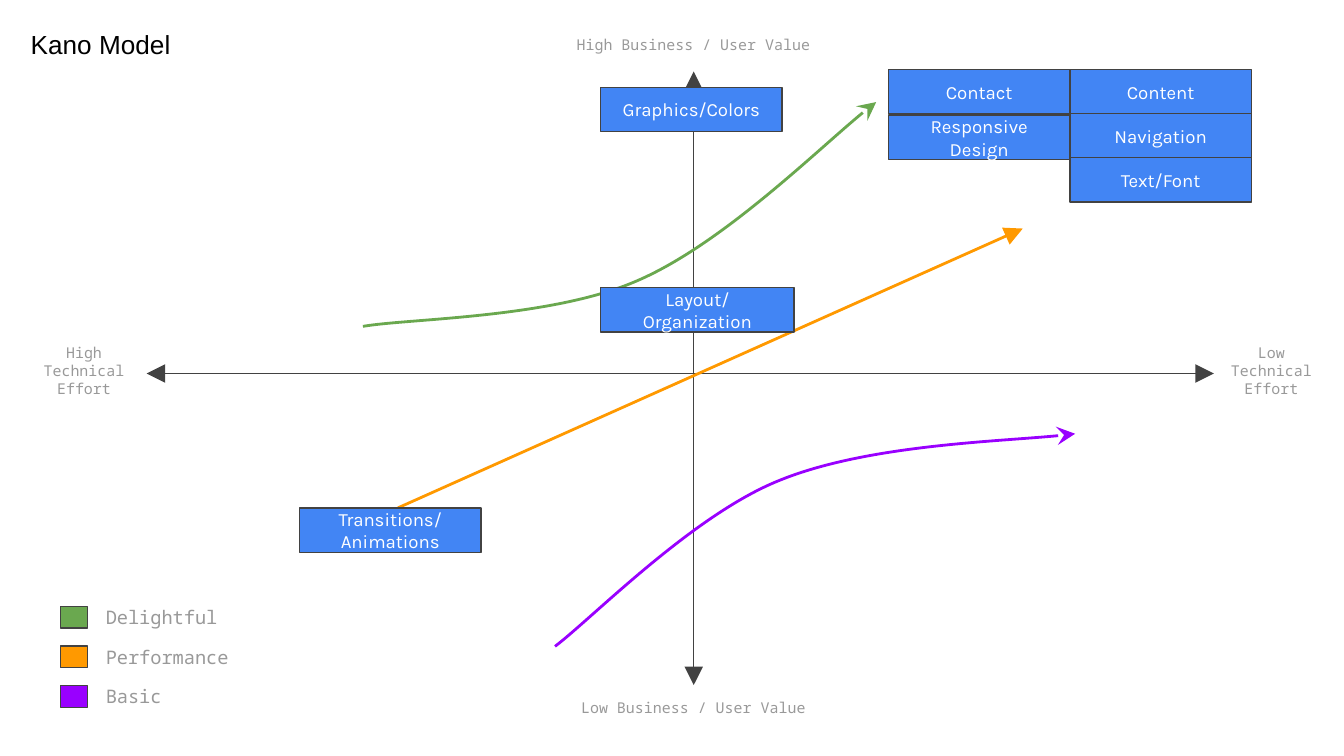
from lxml import etree
from pptx import Presentation
from pptx.dml.color import RGBColor
from pptx.enum.shapes import MSO_CONNECTOR, MSO_SHAPE
from pptx.enum.text import MSO_ANCHOR, MSO_AUTO_SIZE, PP_ALIGN
from pptx.oxml.ns import qn
from pptx.util import Cm, Pt

STRAIGHT = MSO_CONNECTOR.STRAIGHT
RECTANGLE = MSO_SHAPE.RECTANGLE
TOP, MIDDLE = MSO_ANCHOR.TOP, MSO_ANCHOR.MIDDLE
LEFT, CENTER = PP_ALIGN.LEFT, PP_ALIGN.CENTER
NO_AUTOFIT = MSO_AUTO_SIZE.NONE

BLACK = RGBColor(0x00, 0x00, 0x00)
WHITE = RGBColor(0xFF, 0xFF, 0xFF)
DARK = RGBColor(0x42, 0x42, 0x42)
GREY = RGBColor(0x99, 0x99, 0x99)
BLUE = RGBColor(0x42, 0x85, 0xF4)
GREEN = RGBColor(0x6A, 0xA8, 0x4F)
ORANGE = RGBColor(0xFF, 0x99, 0x00)
PURPLE = RGBColor(0x99, 0x00, 0xFF)

MONO = "Noto Sans Mono"
CARD_WIDTH, CARD_HEIGHT = 3.43, 0.84
CARD_STEP = 0.83
LEGEND_STEP = 0.75

# Each curve: a start point, then three points per Bezier segment
DELIGHTFUL_CURVE = [(6.86, 6.17), (7.72, 6.02), (10.41, 6.02), (12.04, 5.31),
                    (13.64, 4.62), (15.8, 2.49), (16.56, 1.93)]
BASIC_CURVE = [(10.49, 12.22), (11.2, 11.68), (13.08, 9.75), (14.71, 9.09),
               (16.36, 8.41), (19.38, 8.33), (20.32, 8.2)]


def write_text(shape, text, size, font, color, align=CENTER, anchor=MIDDLE):
    frame = shape.text_frame
    frame.word_wrap = True
    frame.auto_size = NO_AUTOFIT
    frame.vertical_anchor = anchor
    frame.margin_left = frame.margin_right = Cm(0.25)
    frame.margin_top = frame.margin_bottom = Cm(0.25)
    para = frame.paragraphs[0]
    para.alignment = align
    span = para.add_run()
    span.text = text
    span.font.size = Pt(size)
    span.font.name = font
    span.font.color.rgb = color


def add_title(page, text):
    title = page.shapes.title
    title.left, title.top = Cm(0.33), Cm(0.28)
    title.width, title.height = Cm(3.96), Cm(0.79)
    write_text(title, text, 14, "Arial", BLACK, LEFT, TOP)


def add_label(page, left, top, width, text, size=8, align=CENTER, anchor=TOP):
    box = page.shapes.add_textbox(Cm(left), Cm(top), Cm(width), Cm(0.91))
    write_text(box, text, size, MONO, GREY, align, anchor)


def add_box(page, left, top, width, height, color):
    box = page.shapes.add_shape(RECTANGLE, Cm(left), Cm(top), Cm(width), Cm(height))
    box.shadow.inherit = False
    box.fill.solid()
    box.fill.fore_color.rgb = color
    box.line.color.rgb = DARK
    box.line.width = Pt(0.75)
    return box


def add_card(page, left, top, text, width=CARD_WIDTH):
    card = add_box(page, left, top, width, CARD_HEIGHT, BLUE)
    write_text(card, text, 10, "Karla", WHITE)


def style_line(shape, color, width, **ends):
    """Colour a line and give it arrowheads, such as tailEnd="triangle"."""
    shape.line.color.rgb = color
    shape.line.width = Pt(width)
    outline = shape._element.spPr.find(qn("a:ln"))
    for end, kind in ends.items():
        etree.SubElement(outline, qn("a:" + end), type=kind, w="lg", len="lg")


def add_arrow(page, start, finish, color, width, **ends):
    x1, y1, x2, y2 = (Cm(value) for value in (*start, *finish))
    arrow = page.shapes.add_connector(STRAIGHT, x1, y1, x2, y2)
    style_line(arrow, color, width, **ends)
    etree.SubElement(arrow._element.spPr, qn("a:effectLst"))


def add_curve(page, points, color):
    corners = [(Cm(x), Cm(y)) for x, y in points]
    builder = page.shapes.build_freeform(*corners[0])
    builder.add_line_segments(corners[1:], close=False)
    curve = builder.convert_to_shape()
    curve.shadow.inherit = False
    curve.fill.background()
    style_line(curve, color, 1.5, tailEnd="stealth")
    # Turn every three line segments into one Bezier segment
    outline = next(curve._element.iter(qn("a:path")))
    segments = outline.findall(qn("a:lnTo"))
    for first in range(0, len(segments), 3):
        bezier = etree.SubElement(outline, qn("a:cubicBezTo"))
        for segment in segments[first:first + 3]:
            bezier.append(segment[0])
            outline.remove(segment)


def add_legend(page):
    entries = [("Delightful", GREEN), ("Performance", ORANGE), ("Basic", PURPLE)]
    for row, (name, color) in enumerate(entries):
        top = 11.46 + row * LEGEND_STEP
        add_box(page, 1.14, top, 0.51, 0.41, color)
        add_label(page, 1.75, top - 0.26, 4.98, name, 10, LEFT)


def main():
    deck = Presentation()
    deck.slide_width, deck.slide_height = Cm(25.4), Cm(14.29)
    page = deck.slides.add_slide(deck.slide_layouts[5])
    add_title(page, "Kano Model")

    # Axes and their labels
    both = {"headEnd": "triangle", "tailEnd": "triangle"}
    add_arrow(page, (13.11, 1.35), (13.11, 12.95), DARK, 0.75, **both)
    add_arrow(page, (22.94, 7.06), (2.77, 7.06), DARK, 0.75, **both)
    add_label(page, 10.62, 0.43, 4.98, "High Business / User Value")
    add_label(page, 10.62, 12.95, 4.98, "Low Business / User Value")
    add_label(page, 0.28, 6.55, 2.62, "High Technical Effort", anchor=MIDDLE)
    add_label(page, 22.94, 6.55, 2.18, "Low Technical Effort", anchor=MIDDLE)

    # Kano curves
    add_curve(page, DELIGHTFUL_CURVE, GREEN)
    add_curve(page, BASIC_CURVE, PURPLE)
    add_arrow(page, (7.52, 9.6), (19.33, 4.32), ORANGE, 1.5, tailEnd="triangle")

    add_legend(page)

    # Feature cards
    add_card(page, 5.66, 9.6, "Transitions/Animations")
    add_card(page, 11.35, 1.65, "Graphics/Colors")
    add_card(page, 11.35, 5.44, "Layout/Organization", 3.66)
    add_card(page, 16.79, 1.32, "Contact")
    add_card(page, 16.79, 2.18, "Responsive Design")
    for row, name in enumerate(["Content", "Navigation", "Text/Font"]):
        add_card(page, 20.22, 1.32 + row * CARD_STEP, name)

    deck.save("out.pptx")


if __name__ == "__main__":
    main()
